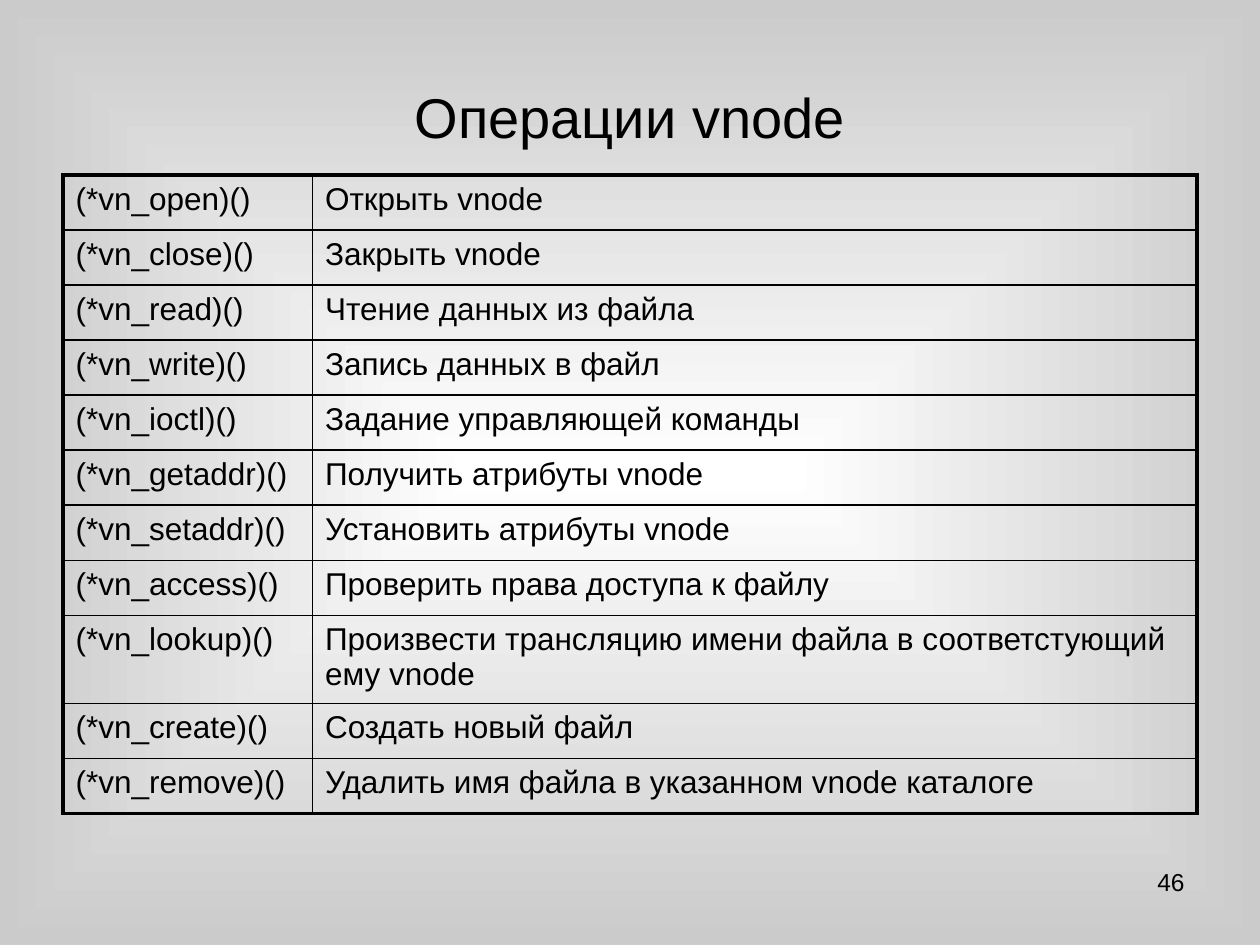
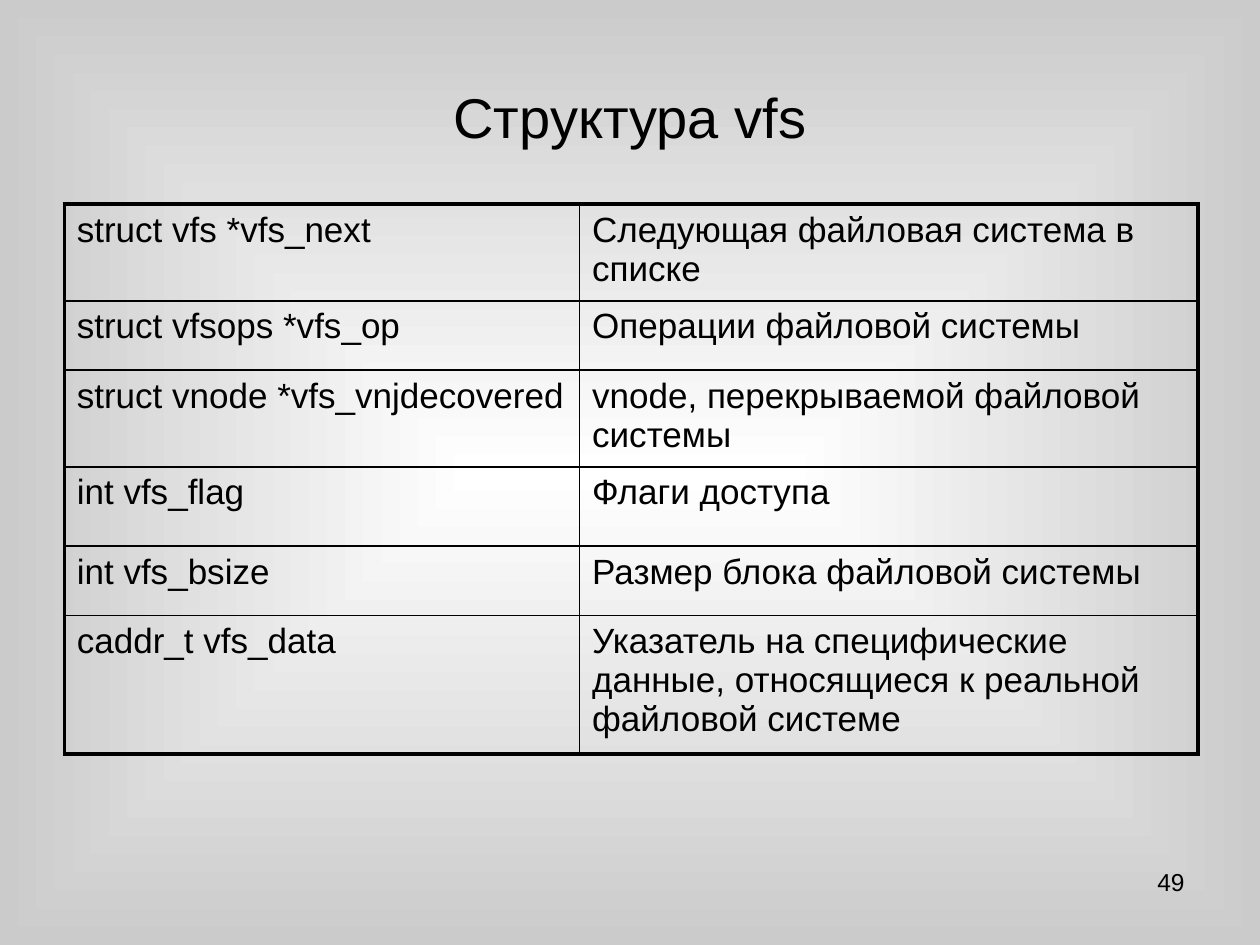
from lxml import etree
from pptx import Presentation
from pptx.dml.color import RGBColor
from pptx.enum.text import MSO_ANCHOR, PP_ALIGN
from pptx.oxml.ns import qn
from pptx.util import Inches, Pt

BLACK = RGBColor(0x00, 0x00, 0x00)
WHITE = RGBColor(0xFF, 0xFF, 0xFF)
GRAY = RGBColor(0xCB, 0xCB, 0xCB)
FONT = "Arial"
CENTER, RIGHT = PP_ALIGN.CENTER, PP_ALIGN.RIGHT
MIDDLE = MSO_ANCHOR.MIDDLE
TITLE_ONLY = 5

# The slide is a grid of 100 columns by 75 rows
COLS, ROWS = 100, 75
WIDTH, HEIGHT = Inches(10), Inches(7.5)
MARGIN = 5
CONTENT = COLS - 2 * MARGIN
OUTER, INNER = Pt(2.25), Pt(1)

VNODE_OPERATIONS = [
    ("(*vn_open)()", "Открыть vnode"),
    ("(*vn_close)()", "Закрыть vnode"),
    ("(*vn_read)()", "Чтение данных из файла"),
    ("(*vn_write)()", "Запись данных в файл"),
    ("(*vn_ioctl)()", "Задание управляющей команды"),
    ("(*vn_getaddr)()", "Получить атрибуты vnode"),
    ("(*vn_setaddr)()", "Установить атрибуты vnode"),
    ("(*vn_access)()", "Проверить права доступа к файлу"),
    ("(*vn_lookup)()",
     "Произвести трансляцию имени файла в соответстующий ему vnode"),
    ("(*vn_create)()", "Создать новый файл"),
    ("(*vn_remove)()", "Удалить имя файла в указанном vnode каталоге"),
]

VFS_FIELDS = [
    ("struct vfs *vfs_next", "Следующая файловая система в списке"),
    ("struct vfsops *vfs_op", "Операции файловой системы"),
    ("struct vnode *vfs_vnjdecovered", "vnode, перекрываемой файловой системы"),
    ("int vfs_flag", "Флаги доступа"),
    ("int vfs_bsize", "Размер блока файловой системы"),
    ("caddr_t vfs_data",
     "Указатель на специфические данные, относящиеся к реальной файловой системе"),
]


def x(columns):
    return round(WIDTH * columns / COLS)


def y(rows):
    return round(HEIGHT * rows / ROWS)


def write(tf, text, size, align=None):
    tf.text = text
    p = tf.paragraphs[0]
    p.alignment = align
    font = p.runs[0].font
    font.name, font.size = FONT, Pt(size)
    font.color.rgb = BLACK


def set_background(master):
    fill = master.background.fill
    fill.gradient()
    for stop, color in zip(fill.gradient_stops, (WHITE, GRAY)):
        stop.color.rgb = color
    # Turn the linear gradient into one that spreads from the centre
    grad = master.element.find(".//" + qn("a:gradFill"))
    grad.remove(grad.find(qn("a:lin")))
    shade = etree.SubElement(grad, qn("a:path"), path="shape")
    etree.SubElement(shade, qn("a:fillToRect"),
                     {side: "50000" for side in "ltrb"})


def set_title_place(layout):
    sp = layout.placeholders[0]
    sp.left, sp.top = x(MARGIN), y(3)
    sp.width, sp.height = x(CONTENT), y(12.5)


def add_slide(prs, title, number):
    slide = prs.slides.add_slide(prs.slide_layouts[TITLE_ONLY])
    tf = slide.shapes.title.text_frame
    tf.vertical_anchor = MIDDLE
    write(tf, title, 32, CENTER)
    # Slide number
    box = slide.shapes.add_textbox(x(71.7), y(68.3), x(23.3), y(5.2))
    box.text_frame.word_wrap = True
    write(box.text_frame, number, 14, RIGHT)
    return slide


def set_borders(cell, outer_sides):
    tcPr = cell._tc.get_or_add_tcPr()
    for side in "LRTB":
        width = OUTER if side in outer_sides else INNER
        ln = etree.SubElement(tcPr, qn("a:ln" + side), w=str(width))
        fill = etree.SubElement(ln, qn("a:solidFill"))
        etree.SubElement(fill, qn("a:srgbClr"), val=str(BLACK))


def add_table(slide, entries, left, top, name_width, row_heights, size):
    frame = slide.shapes.add_table(len(entries), 2, x(left), y(top),
                                   x(CONTENT), y(sum(row_heights)))
    table = frame.table
    table.first_row = table.horz_banding = False
    for column, width in zip(table.columns, (name_width, CONTENT - name_width)):
        column.width = x(width)
    last = len(entries) - 1
    for i, (entry, height) in enumerate(zip(entries, row_heights)):
        table.rows[i].height = y(height)
        for j, text in enumerate(entry):
            cell = table.cell(i, j)
            write(cell.text_frame, text, size)
            set_borders(cell, "LR"[j] + "T" * (i == 0) + "B" * (i == last))
            cell.fill.background()


def main():
    prs = Presentation()
    prs.slide_width, prs.slide_height = WIDTH, HEIGHT
    set_background(prs.slide_master)
    set_title_place(prs.slide_layouts[TITLE_ONLY])

    # vnode operations
    s = add_slide(prs, "Операции vnode", "46")
    add_table(s, VNODE_OPERATIONS, MARGIN, 13.9, 19.8,
              [4.37] * len(VNODE_OPERATIONS), 18)

    # vfs structure
    s = add_slide(prs, "Структура vfs", "49")
    add_table(s, VFS_FIELDS, MARGIN + 0.1, 16.2, 40.9,
              [5.8, 5.5, 5.5, 6.3, 5.5, 6], 20)

    prs.save("out.pptx")


if __name__ == "__main__":
    main()
